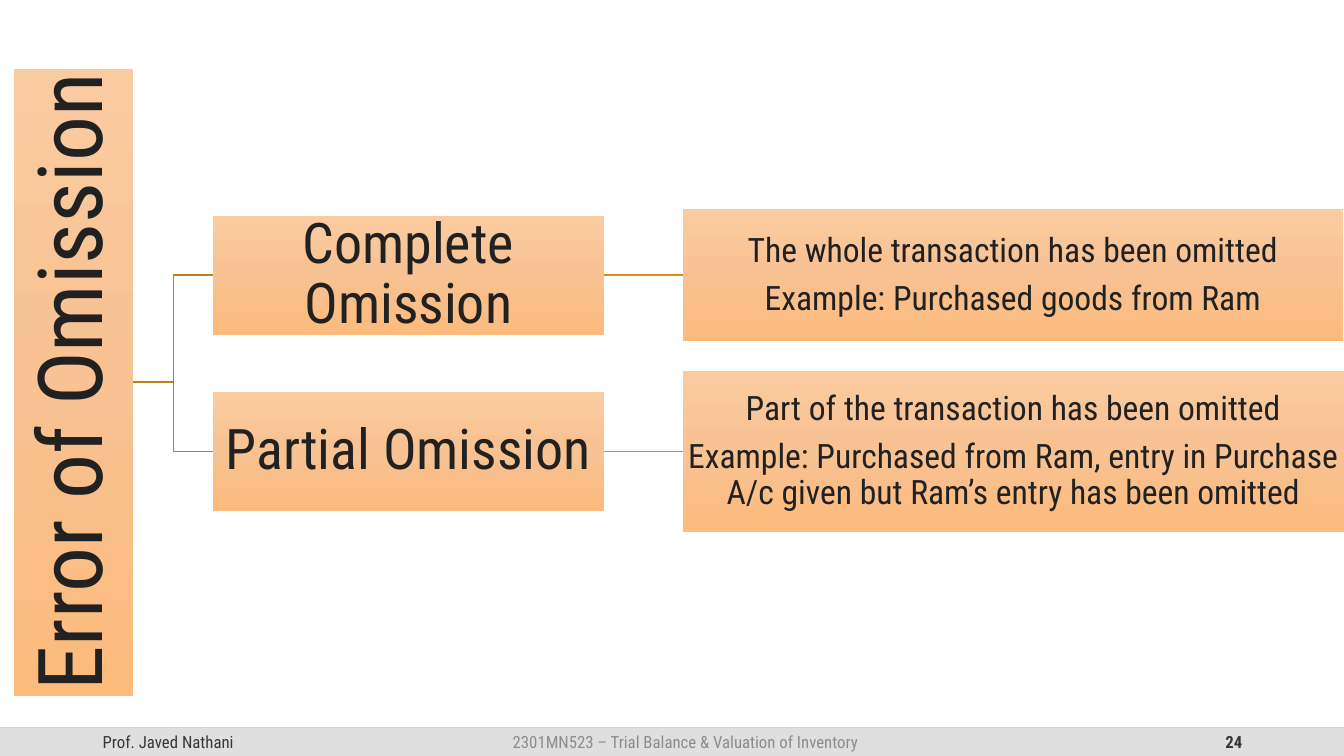
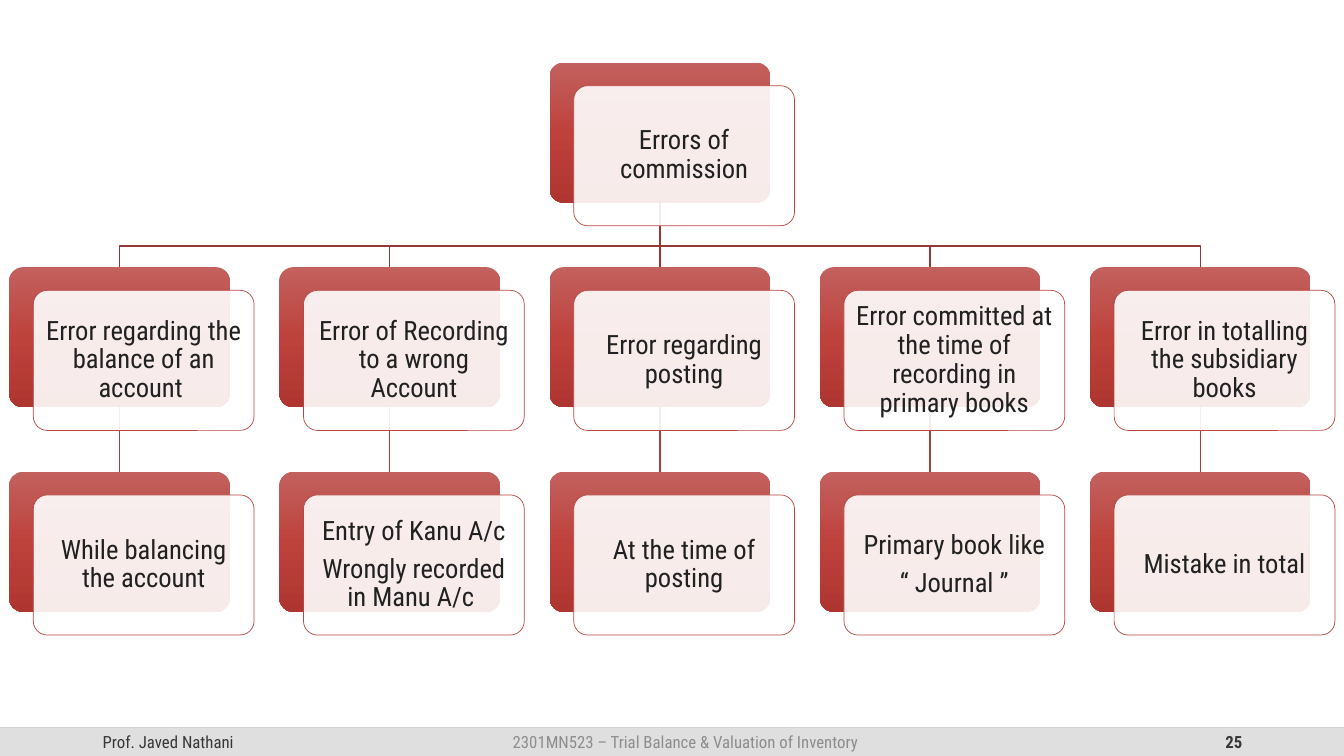
from copy import deepcopy
from dataclasses import dataclass

from pptx import Presentation
from pptx.dml.color import RGBColor
from pptx.enum.shapes import MSO_CONNECTOR, MSO_SHAPE
from pptx.enum.text import MSO_ANCHOR, PP_ALIGN
from pptx.oxml.ns import qn
from pptx.util import Inches, Pt


@dataclass(frozen=True)
class Theme:
    font: str = "Roboto Condensed"
    ink: str = "212121"
    footer_ink: str = "373737"
    footer_muted: str = "8D8D8D"
    footer_band: str = "DFDFDF"
    footer_rule: str = "BFBFBF"
    white: str = "FFFFFF"
    orange: tuple = ("FACBA0", "F8C292", "FCBA7D")
    orange_elbow: str = "C17E14"
    orange_link: str = "DB8E17"
    red: tuple = ("C2615E", "BE423C", "AE3530")
    red_edge: str = "B84742"
    red_branch: str = "933935"
    red_link: str = "A7403C"
    root_size: int = 64
    branch_size: int = 40
    detail_size: int = 24
    card_size: int = 19
    footer_size: int = 12


T = Theme()


def add_box(s, x, y, w, h, texts=(), size=T.card_size, fill=None, kind=MSO_SHAPE.RECTANGLE,
            alpha=100, edge=None, inset=0.08, rotation=0, color=T.ink, align=PP_ALIGN.CENTER,
            bold=False, spacing=0.9):
    """Add a box with centred text; fill is one colour, three gradient colours or None."""
    at = [Inches(v) for v in (x, y, w, h)]
    if fill is None:
        sp = s.shapes.add_textbox(*at)
    else:
        sp = s.shapes.add_shape(kind, *at)
        sp.shadow.inherit = False
        if kind == MSO_SHAPE.ROUNDED_RECTANGLE:
            sp.adjustments[0] = 0.1
        if isinstance(fill, tuple):
            sp.fill.gradient()
            sp.fill.gradient_angle = (270 + rotation) % 360  # always runs down the slide
            stops = sp._element.spPr.find(qn("a:gradFill")).find(qn("a:gsLst"))
            stops.append(deepcopy(stops[-1]))
            for stop, rgb, position in zip(sp.fill.gradient_stops, fill, (0, 0.5, 1)):
                stop.color.rgb = RGBColor.from_string(rgb)
                stop.position = position
        else:
            sp.fill.solid()
            sp.fill.fore_color.rgb = RGBColor.from_string(fill)
            if alpha < 100:
                rgb = sp._element.spPr.find(qn("a:solidFill"))[0]
                rgb.append(rgb.makeelement(qn("a:alpha"), {"val": str(alpha * 1000)}))
        if edge:
            sp.line.color.rgb = RGBColor.from_string(edge)
            sp.line.width = Pt(0.5)
        else:
            sp.line.fill.background()
    sp.rotation = rotation
    tf = sp.text_frame
    tf.word_wrap = True
    tf.vertical_anchor = MSO_ANCHOR.MIDDLE
    tf.margin_left = tf.margin_right = tf.margin_top = tf.margin_bottom = Inches(inset)
    for i, text in enumerate(texts):
        p = tf.add_paragraph() if i else tf.paragraphs[0]
        p.alignment = align
        p.line_spacing = spacing
        p.space_after = Pt(0.35 * size)
        r = p.add_run()
        r.text = text
        r.font.name = T.font
        r.font.size = Pt(size)
        r.font.bold = bold
        r.font.color.rgb = RGBColor.from_string(color)


def add_line(s, points, color, alpha=100):
    """Join two points with a connector, or more points with an open elbow path."""
    ends = [(Inches(x), Inches(y)) for x, y in points]
    if len(ends) == 2:
        line = s.shapes.add_connector(MSO_CONNECTOR.STRAIGHT, *ends[0], *ends[1])
    else:
        path = s.shapes.build_freeform(*ends[0])
        path.add_line_segments(ends[1:], close=False)
        line = path.convert_to_shape()
        line.fill.background()
    line.line.color.rgb = RGBColor.from_string(color)
    line.line.width = Pt(1)
    sp_pr = line._element.spPr
    if alpha < 100:
        rgb = sp_pr.find(qn("a:ln")).find(qn("a:solidFill"))[0]
        rgb.append(rgb.makeelement(qn("a:alpha"), {"val": str(alpha * 1000)}))
    sp_pr.append(sp_pr.makeelement(qn("a:effectLst"), {}))


prs = Presentation()
prs.slide_width, prs.slide_height = Inches(13.33), Inches(7.5)
blank = prs.slide_layouts[6]

# Footer shared by both slides
FOOTER_Y, FOOTER_H = 7.22, 0.28
omission, commission = prs.slides.add_slide(blank), prs.slides.add_slide(blank)
for number, s in enumerate((omission, commission), start=24):
    add_line(s, [(0, FOOTER_Y), (13.33, FOOTER_Y)], T.footer_rule, alpha=70)
    add_box(s, 0, FOOTER_Y, 13.33, FOOTER_H, fill=T.footer_band)
    for x, w, text, align, color, bold in (
        (0.92, 3, "Prof. Javed Nathani", PP_ALIGN.LEFT, T.footer_ink, False),
        (9.42, 3, str(number), PP_ALIGN.RIGHT, T.footer_ink, True),
        (4.18, 5.24, "2301MN523 – Trial Balance & Valuation of Inventory", PP_ALIGN.CENTER,
         T.footer_muted, False),
    ):
        add_box(s, x, FOOTER_Y, w, FOOTER_H, [text], T.footer_size, inset=0.1, color=color,
                align=align, bold=bold, spacing=1.0)

# Error of omission: root, branches, details from left to right
s = omission
ROOT_RIGHT, ELBOW_X, BRANCH_X, DETAIL_X = 1.32, 1.72, 2.11, 6.77
ROOT_Y, BRANCH_W, BRANCH_H = 3.79, 3.88, 1.18
branches = (
    (2.73, "Complete Omission", 6.55, 1.31,
     ["The whole transaction has been omitted", "Example: Purchased goods from Ram"]),
    (4.48, "Partial Omission", 6.56, 1.6,
     ["Part of the transaction has been omitted",
      "Example: Purchased from Ram, entry in Purchase A/c given but Ram’s entry has been omitted"]),
)
for y, name, detail_w, detail_h, details in branches:
    add_line(s, [(BRANCH_X + BRANCH_W, y), (DETAIL_X, y)], T.orange_link)
    add_line(s, [(ROOT_RIGHT, ROOT_Y), (ELBOW_X, ROOT_Y), (ELBOW_X, y), (BRANCH_X, y)],
             T.orange_elbow)
    add_box(s, BRANCH_X, y - BRANCH_H / 2, BRANCH_W, BRANCH_H, [name], T.branch_size, T.orange,
            inset=0.03)
    add_box(s, DETAIL_X, y - detail_h / 2, detail_w, detail_h, details, T.detail_size, T.orange,
            inset=0.02)
add_box(s, -2.38, 3.2, 6.22, 1.18, ["Error of Omission"], T.root_size, T.orange, inset=0.04,
        rotation=270)

# Errors of commission: root above five columns of two cards
s = commission
CARD_W, CARD_H, CARD_DX, CARD_DY = 2.19, 1.39, 0.24, 0.23
LEFT, COL_STEP, ROOT_COL, BAR_Y = 0.09, 2.68, 2, 2.44
row_y = [0.62 + 2.03 * row for row in range(3)]
columns = (
    (["Error regarding the balance of an account "], ["While balancing the account"]),
    (["Error of Recording to a wrong Account"],
     ["Entry of Kanu A/c", "Wrongly recorded in Manu A/c "]),
    (["Error regarding posting"], ["At the time of posting"]),
    (["Error committed at the time of recording in primary books"],
     ["Primary book like", "“ Journal ”"]),
    (["Error in totalling the subsidiary books"], ["Mistake in total"]),
)
col_x = [LEFT + COL_STEP * col for col in range(len(columns))]
root_x, root_bottom = col_x[ROOT_COL] + CARD_W / 2, row_y[0] + CARD_H
for col, x in enumerate(col_x):
    center = x + CARD_W / 2
    bends = [] if col == ROOT_COL else [(root_x, BAR_Y), (center, BAR_Y)]
    add_line(s, [(root_x, root_bottom), *bends, (center, row_y[1])], T.red_branch)
    add_line(s, [(center, row_y[1] + CARD_H), (center, row_y[2])], T.red_link)

cards = [(col_x[ROOT_COL], row_y[0], ["Errors of commission"])]
for x, column in zip(col_x, columns):
    cards += [(x, y, texts) for y, texts in zip(row_y[1:], column)]
for x, y, texts in cards:
    add_box(s, x, y, CARD_W, CARD_H, fill=T.red, kind=MSO_SHAPE.ROUNDED_RECTANGLE)
    add_box(s, x + CARD_DX, y + CARD_DY, CARD_W, CARD_H, texts, T.card_size, T.white,
            MSO_SHAPE.ROUNDED_RECTANGLE, alpha=90, edge=T.red_edge)

prs.save("out.pptx")
